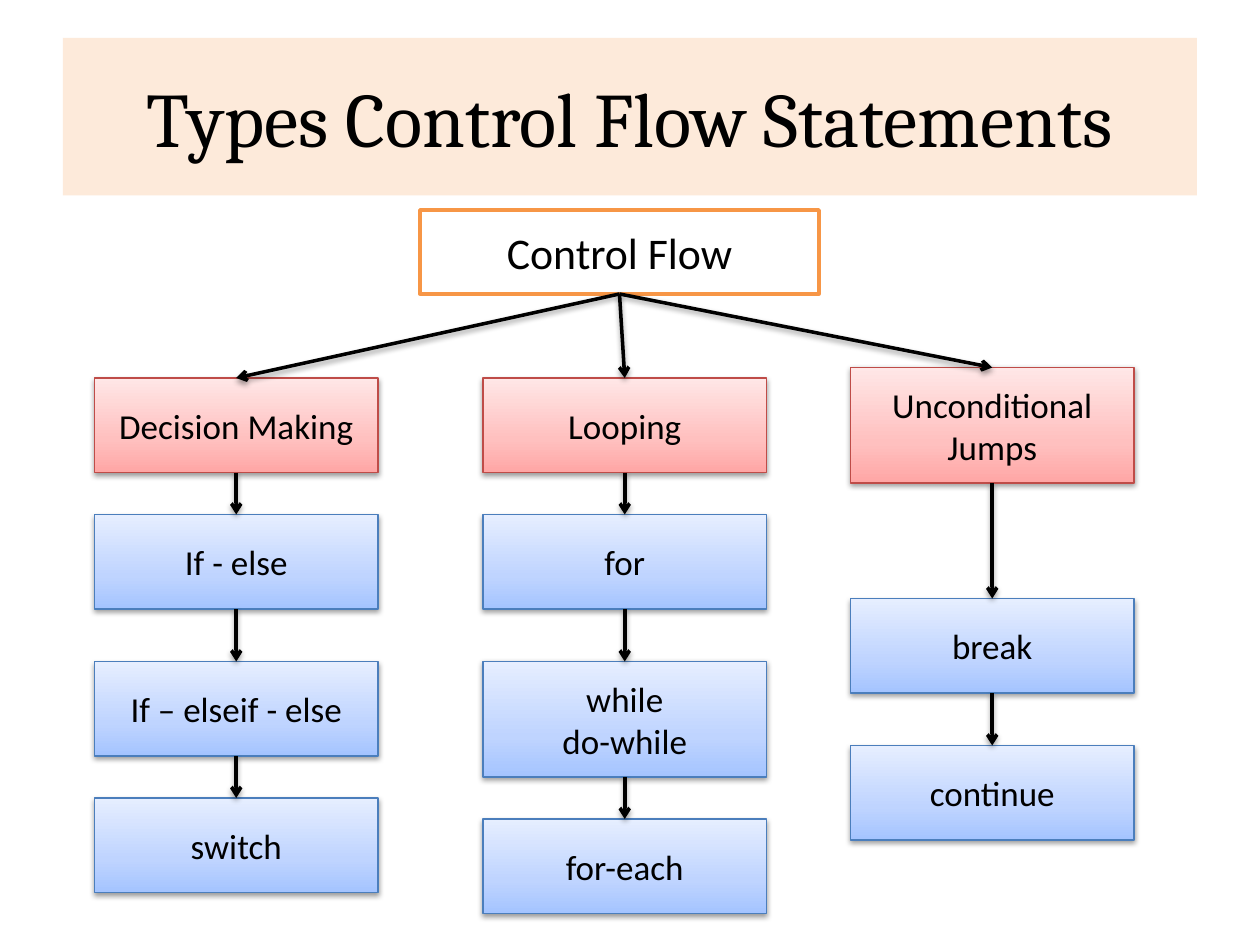
from copy import deepcopy
from itertools import pairwise

from lxml import etree
from pptx import Presentation
from pptx import util as u
from pptx.dml.color import RGBColor
from pptx.enum import shapes, text
from pptx.oxml.ns import qn

BLACK = RGBColor(0x00, 0x00, 0x00)
WHITE = RGBColor(0xFF, 0xFF, 0xFF)
PEACH = RGBColor(0xFD, 0xEA, 0xDA)
ORANGE = RGBColor(0xF7, 0x96, 0x46)
RED_LINE = RGBColor(0xBF, 0x4C, 0x48)
BLUE_LINE = RGBColor(0x4B, 0x7E, 0xBC)
REDS = [RGBColor(0xFF, 0xA6, 0xA5), RGBColor(0xFF, 0xC0, 0xBF), RGBColor(0xFF, 0xE7, 0xE7)]
BLUES = [RGBColor(0xA4, 0xC4, 0xFF), RGBColor(0xBF, 0xD4, 0xFF), RGBColor(0xE6, 0xEE, 0xFF)]
STOPS = [0, 0.35, 1]

NODE_WIDTH = 162
# Left edge of each column, then (words, top, height) of its boxes; the first is the heading.
COLUMNS = [
    (54, [("Decision Making", 216, 54), ("If - else", 294, 54),
          ("If – elseif - else", 378, 54), ("switch", 456, 54)]),
    (276, [("Looping", 216, 54), ("for", 294, 54),
           ("while\ndo-while", 378, 66), ("for-each", 468, 54)]),
    (486, [("Unconditional Jumps", 210, 66), ("break", 342, 54),
           ("continue", 426, 54)]),
]


class FlowPage:
    """Draws the parts of a flow chart on one page, with lengths in points."""

    def __init__(self, page):
        self.page = page

    def box(self, words, left, top, width, height, size=20, font="Calibri"):
        box = self.page.shapes.add_shape(
            shapes.MSO_SHAPE.RECTANGLE, u.Pt(left), u.Pt(top), u.Pt(width), u.Pt(height))
        box.shadow.inherit = False
        frame = box.text_frame
        frame.text = words
        frame.word_wrap = True
        frame.vertical_anchor = text.MSO_ANCHOR.MIDDLE
        for para in frame.paragraphs:
            para.alignment = text.PP_ALIGN.CENTER
            para.font.name = font
            para.font.size = u.Pt(size)
            para.font.color.rgb = BLACK
        return box

    def plain_box(self, words, left, top, width, height, size, font, fill, line=None):
        box = self.box(words, left, top, width, height, size, font)
        box.fill.solid()
        box.fill.fore_color.rgb = fill
        if line is None:
            box.line.fill.background()
        else:
            box.line.color.rgb = line
            box.line.width = u.Pt(2)

    def node(self, words, left, top, height, colors, line):
        """Add a gradient box, with colors running from bottom to top."""
        box = self.box(words, left, top, NODE_WIDTH, height)
        box.line.color.rgb = line
        box.line.width = u.Pt(0.75)
        box.fill.gradient()
        box.fill.gradient_angle = 90
        stop_list = box.element.spPr.find(".//" + qn("a:gsLst"))
        stop_list.insert(1, deepcopy(stop_list[0]))
        for stop, position, color in zip(box.fill.gradient_stops, STOPS, colors):
            stop.position = position
            stop.color.rgb = color
        self.add_shadow(box.element.spPr.find(qn("a:effectLst")))

    def arrow(self, start, end):
        points = [u.Pt(value) for value in (*start, *end)]
        arrow = self.page.shapes.add_connector(shapes.MSO_CONNECTOR.STRAIGHT, *points)
        arrow.line.color.rgb = BLACK
        arrow.line.width = u.Pt(2)
        properties = arrow.element.spPr
        etree.SubElement(properties.find(qn("a:ln")), qn("a:tailEnd"), type="arrow")
        self.add_shadow(etree.SubElement(properties, qn("a:effectLst")))

    def add_shadow(self, effects):
        shadow = etree.SubElement(
            effects, qn("a:outerShdw"), blurRad=str(u.Pt(3.15)), dist=str(u.Pt(1.57)),
            dir="5400000", rotWithShape="0")
        color = etree.SubElement(shadow, qn("a:srgbClr"), val=str(BLACK))
        etree.SubElement(color, qn("a:alpha"), val="38000")


def main():
    deck = Presentation()
    deck.slide_width, deck.slide_height = u.Pt(720), u.Pt(540)
    chart = FlowPage(deck.slides.add_slide(deck.slide_layouts[6]))

    chart.plain_box("Types Control Flow Statements", 36, 21.6, 648, 90, 44, "Cambria", PEACH)
    chart.plain_box("Control Flow", 240, 120, 228, 48, 25, "Calibri", WHITE, ORANGE)

    for left, nodes in COLUMNS:
        center = left + NODE_WIDTH / 2
        for index, (words, top, height) in enumerate(nodes):
            colors, line = (BLUES, BLUE_LINE) if index else (REDS, RED_LINE)
            chart.node(words, left, top, height, colors, line)
        chart.arrow((354, 168), (center, nodes[0][1]))
        for (_, top, height), (_, next_top, _) in pairwise(nodes):
            chart.arrow((center, top + height), (center, next_top))

    deck.save("out.pptx")


if __name__ == "__main__":
    main()
